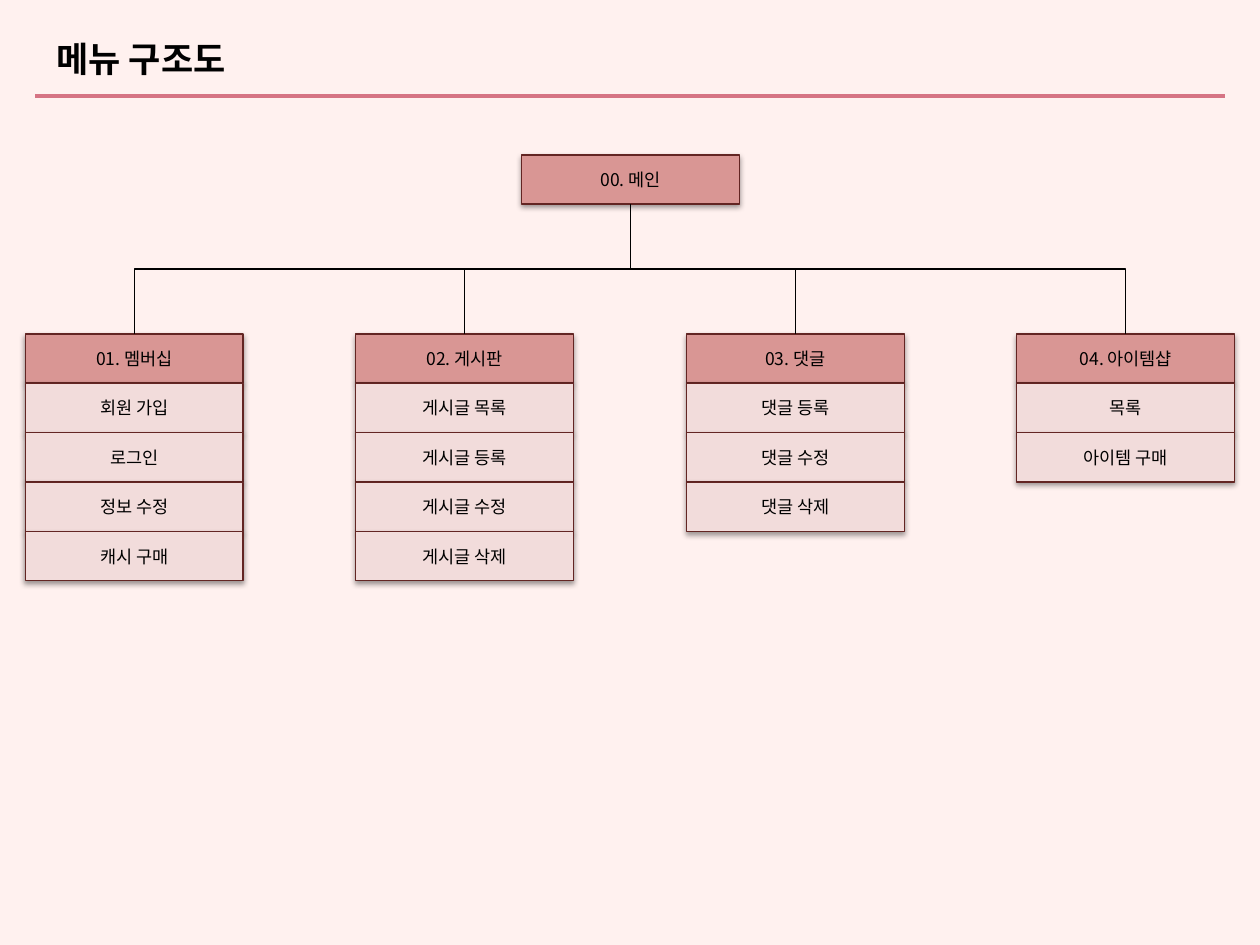
"""Build the menu structure slide."""
import pptx
import pptx.dml.color
import pptx.enum.shapes
import pptx.enum.text
import pptx.oxml
import pptx.oxml.ns
import pptx.util
from pptx.util import Inches

TITLE = "메뉴 구조도"
ROOT = "00. 메인"
MENUS = [
    ("01. 멤버십", ["회원 가입", "로그인", "정보 수정", "캐시 구매"]),
    ("02. 게시판", ["게시글 목록", "게시글 등록", "게시글 수정", "게시글 삭제"]),
    ("03. 댓글", ["댓글 등록", "댓글 수정", "댓글 삭제"]),
    ("04. 아이템샵", ["목록", "아이템 구매"]),
]
FONT = "Noto Sans CJK KR"
BLACK, PAPER, RULE = "000000", "FFF1EF", "D67484"
HEAD, ITEM, EDGE = "D99694", "F2DCDB", "632523"
WIDE, HIGH = Inches(1.73), Inches(0.39)
LEFT, RIGHT, TOP = Inches(0.2), Inches(8.07), Inches(2.65)
STEP = (RIGHT - LEFT) / (len(MENUS) - 1)
ROW = Inches(1.57) / 4
NS = pptx.oxml.ns.nsdecls("a")
SHADE = (
    f'<a:effectLst {NS}><a:outerShdw blurRad="40000" dist="20000" dir="5400000" '
    'rotWithShape="0"><a:srgbClr val="000000"><a:alpha val="38000"/></a:srgbClr>'
    "</a:outerShdw></a:effectLst>"
)
FLAT = f"<a:effectLst {NS}/>"


def color(code):
    return pptx.dml.color.RGBColor.from_string(code)


def effect(shape, xml):
    shape._element.spPr.append(pptx.oxml.parse_xml(xml))


def write(shape, text, size, bold=False):
    shape.text_frame.text = text
    run = shape.text_frame.paragraphs[0].runs[0]
    font = run.font
    font.name, font.size, font.bold = FONT, pptx.util.Pt(size), bold
    font.color.rgb = color(BLACK)
    east = pptx.oxml.parse_xml(f'<a:ea {NS} typeface="{FONT}"/>')
    run._r.get_or_add_rPr().append(east)


def stroke(line, code, width):
    line.color.rgb = color(code)
    line.width = pptx.util.Pt(width)


def box(slide, text, left, top, fill):
    kind = pptx.enum.shapes.MSO_SHAPE.RECTANGLE
    shape = slide.shapes.add_shape(kind, round(left), round(top), WIDE, HIGH)
    shape.fill.solid()
    shape.fill.fore_color.rgb = color(fill)
    stroke(shape.line, EDGE, 0.75)
    effect(shape, SHADE)
    write(shape, text, 10)
    frame = shape.text_frame
    frame.vertical_anchor = pptx.enum.text.MSO_ANCHOR.MIDDLE
    frame.paragraphs[0].alignment = pptx.enum.text.PP_ALIGN.CENTER
    return shape


def branch(slide, root, head):
    kind = pptx.enum.shapes.MSO_CONNECTOR.ELBOW
    link = slide.shapes.add_connector(kind, 0, 0, 0, 0)
    link.begin_connect(root, 2)
    link.end_connect(head, 0)
    start, end = root.left + WIDE // 2, head.left + WIDE // 2
    base = root.top + HIGH
    drop, span = head.top - base, abs(end - start)
    turn = {"rot": "5400000"} if end < start else {"rot": "16200000", "flipH": "1"}
    frame = link._element.spPr.xfrm
    for key in ("flipH", "flipV"):
        frame.attrib.pop(key, None)
    for key, value in turn.items():
        frame.set(key, value)
    link.left, link.top = (start + end - drop) // 2, base + (drop - span) // 2
    link.width, link.height = drop, span
    stroke(link.line, BLACK, 0.75)
    effect(link, FLAT)


def main():
    deck = pptx.Presentation()
    deck.slide_width, deck.slide_height = Inches(10), Inches(7.5)
    slide = deck.slides.add_slide(deck.slide_layouts[6])
    slide.background.fill.solid()
    slide.background.fill.fore_color.rgb = color(PAPER)

    title = slide.shapes.add_textbox(
        Inches(0.35), Inches(0.25), Inches(6.65), Inches(0.44))
    title.text_frame.word_wrap = True
    title.text_frame.auto_size = pptx.enum.text.MSO_AUTO_SIZE.SHAPE_TO_FIT_TEXT
    write(title, TITLE, 20, True)

    rule = slide.shapes.add_connector(
        pptx.enum.shapes.MSO_CONNECTOR.STRAIGHT,
        Inches(0.28), Inches(0.76), Inches(9.72), Inches(0.76))
    stroke(rule.line, RULE, 2.5)
    effect(rule, FLAT)

    root = box(slide, ROOT, Inches(4.14), Inches(1.23), HEAD)
    for col, (name, items) in enumerate(MENUS):
        left = LEFT + col * STEP
        head = box(slide, name, left, TOP, HEAD)
        branch(slide, root, head)
        for row, item in enumerate(items, 1):
            box(slide, item, left, TOP + row * ROW, ITEM)

    deck.save("out.pptx")


if __name__ == "__main__":
    main()
